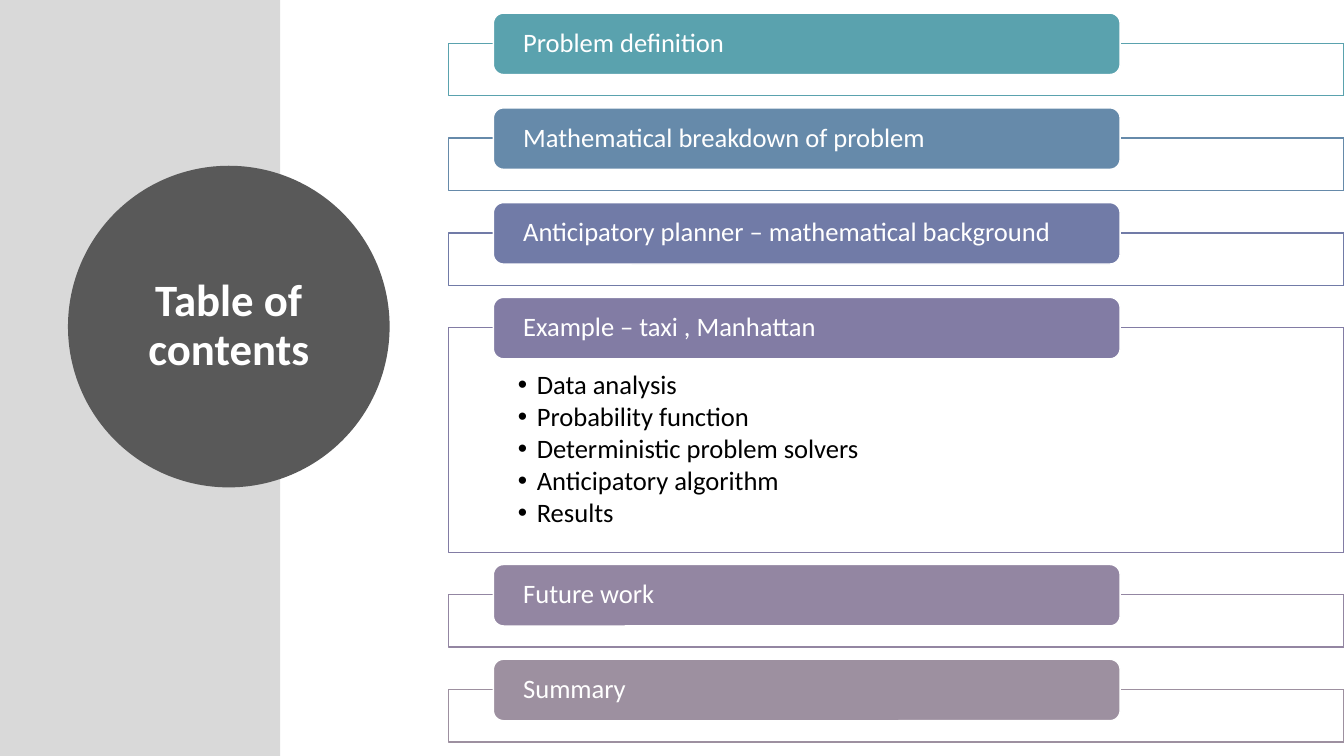
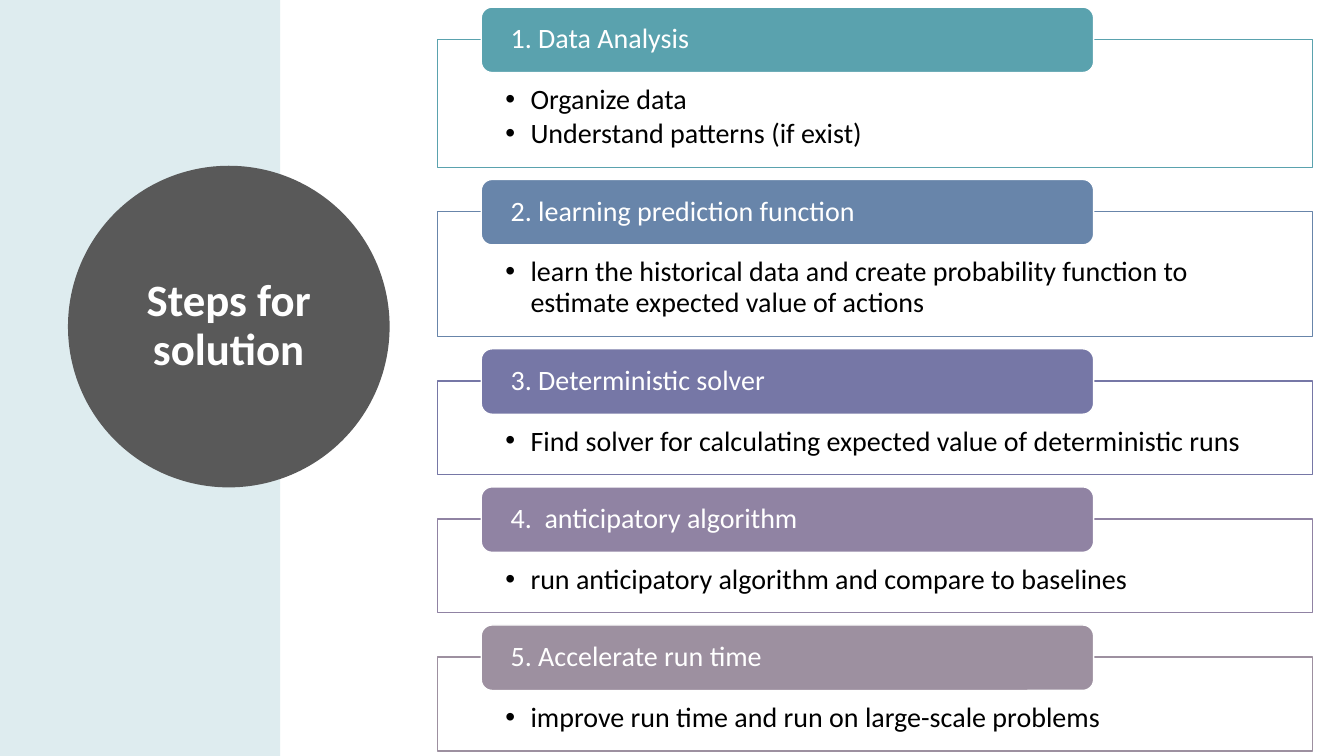
import dataclasses

import lxml.etree
import pptx
import pptx.dml.color
import pptx.enum.shapes
import pptx.enum.text
import pptx.oxml.ns
import pptx.util

SHAPE = pptx.enum.shapes.MSO_SHAPE
ANCHOR = pptx.enum.text.MSO_ANCHOR
ALIGN = pptx.enum.text.PP_ALIGN
qn = pptx.oxml.ns.qn

# The slide is a grid of 160 columns by 90 rows of square cells.
COLS, ROWS = 160, 90
CELL = pptx.util.Inches(7.5) // ROWS


@dataclasses.dataclass(frozen=True)
class Theme:
    font: str = "Calibri"
    title_size: float = 32
    white: str = "FFFFFF"
    black: str = "000000"
    disc: str = "595959"
    hairline: float = 1
    disc_line: float = 13.75
    line_spacing: float = 0.9
    bullet_gap: float = 0.13  # share of the type size


@dataclasses.dataclass(frozen=True)
class Agenda:
    """Layout of a stack of sections, in cells; size is in points."""
    left: float
    top: float
    width: float
    tab_height: float
    lead: float  # from the top of a tab to the top of its frame
    size: float
    indent: float
    gap: float = 1.44


def cells(n):
    return pptx.util.Emu(round(n * CELL))


def rgb(color):
    return pptx.dml.color.RGBColor.from_string(color)


def write(s, lines, *, font, size, color, spacing, bold=False, align=ALIGN.LEFT,
          anchor=ANCHOR.MIDDLE, insets=None, indent=0, after=0):
    """Fill a shape with paragraphs; insets are in EMU, an indent adds bullets."""
    tf = s.text_frame
    tf.word_wrap = True
    tf.vertical_anchor = anchor
    if insets:
        tf.margin_left, tf.margin_top, tf.margin_right, tf.margin_bottom = insets
    for i, line in enumerate(lines):
        p = tf.add_paragraph() if i else tf.paragraphs[0]
        if indent:
            pPr = p._p.get_or_add_pPr()
            pPr.set("marL", str(cells(indent)))
            pPr.set("indent", str(-cells(indent)))
            lxml.etree.SubElement(pPr, qn("a:buFont")).set("typeface", "Arial")
            lxml.etree.SubElement(pPr, qn("a:buChar")).set("char", "•")
        p.alignment = align
        p.line_spacing = spacing
        p.space_after = pptx.util.Pt(after)
        r = p.add_run()
        r.text = line
        r.font.name = font
        r.font.size = pptx.util.Pt(size)
        r.font.bold = bold
        r.font.color.rgb = rgb(color)


class Deck:
    def __init__(self, theme):
        self.theme = theme
        self.prs = pptx.Presentation()
        self.prs.slide_width = cells(COLS)
        self.prs.slide_height = cells(ROWS)
        self.slide = None

    def shape(self, kind, x, y, w, h, fill, line=None, weight=1, opacity=None):
        s = self.slide.shapes.add_shape(kind, *map(cells, (x, y, w, h)))
        s.shadow.inherit = False
        s.fill.solid()
        s.fill.fore_color.rgb = rgb(fill)
        if opacity is not None:
            clr = s.fill._xPr.find(".//" + qn("a:srgbClr"))
            lxml.etree.SubElement(clr, qn("a:alpha")).set("val", str(opacity * 1000))
        if line:
            s.line.color.rgb = rgb(line)
            s.line.width = pptx.util.Pt(weight)
        else:
            s.line.fill.background()
        return s

    def text(self, s, lines, **fmt):
        write(s, lines, font=self.theme.font, spacing=self.theme.line_spacing, **fmt)

    def new_slide(self, title, band):
        """Start a slide with a side band and its title in a disc."""
        t = self.theme
        self.slide = self.prs.slides.add_slide(self.prs.slide_layouts[6])
        self.shape(SHAPE.RECTANGLE, 0, 0, 33.36, ROWS, band)
        s = self.shape(SHAPE.OVAL, 9.24, 20.88, 36, 36, t.disc, t.disc, t.disc_line)
        self.text(s, [title], size=t.title_size, color=t.white, bold=True,
                  align=ALIGN.CENTER)

    def frame(self, agenda, y, height, color, bullets):
        t, a = self.theme, agenda
        s = self.shape(SHAPE.RECTANGLE, a.left, y, a.width, height, t.white, color,
                       t.hairline, opacity=90)
        if bullets:
            side = cells(0.0775 * a.width)
            head, foot = (pptx.util.Pt(a.size * em) for em in (1.64, 0.57))
            self.text(s, bullets, size=a.size, color=t.black, anchor=ANCHOR.TOP,
                      insets=(side, head, side, foot), indent=a.indent,
                      after=t.bullet_gap * a.size)

    def tab(self, agenda, y, color, heading):
        t, a = self.theme, agenda
        s = self.shape(SHAPE.ROUNDED_RECTANGLE, a.left + 0.05 * a.width, y,
                       0.7 * a.width, a.tab_height, color, t.white, t.hairline)
        side = cells(0.03 * a.width)
        self.text(s, [heading], size=a.size, color=t.white, insets=(side, 0, side, 0))

    def sections(self, agenda, items):
        """Stack items of (heading, colour, frame height, bullets)."""
        y = agenda.top
        for heading, color, height, bullets in items:
            self.frame(agenda, y + agenda.lead, height, color, bullets)
            self.tab(agenda, y, color, heading)
            y += agenda.lead + height + agenda.gap


def main():
    deck = Deck(Theme())

    deck.new_slide("Table of contents", "D9D9D9")
    contents = Agenda(left=53.4, top=1.56, width=106.6, tab_height=7.32, lead=3.6,
                      size=19, indent=2.25)
    deck.sections(contents, [
        ("Problem definition", "5AA2AE", 6.24, []),
        ("Mathematical breakdown of problem", "668AAA", 6.24, []),
        ("Anticipatory planner – mathematical background", "717BA7", 6.24, []),
        ("Example – taxi , Manhattan", "827CA4", 26.76,
         ["Data analysis", "Probability function", "Deterministic problem solvers",
          "Anticipatory algorithm", "Results"]),
        ("Future work", "9386A2", 6.24, []),
        ("Summary", "9D90A0", 6.24, []),
    ])

    deck.new_slide("Steps for solution", "DEECEF")
    steps = Agenda(left=52.08, top=0.84, width=104.16, tab_height=7.8, lead=3.84,
                   size=20, indent=3)
    deck.sections(steps, [
        ("1. Data Analysis", "5AA2AE", 15.24,
         ["Organize data", "Understand patterns (if exist)"]),
        ("2. learning prediction function", "6885AA", 14.88,
         ["learn the historical data and create probability function to "
          "estimate expected value of actions"]),
        ("3. Deterministic solver", "7677A6", 11.16,
         ["Find solver for calculating expected value of deterministic runs"]),
        ("4.  anticipatory algorithm", "9083A3", 11.16,
         ["run anticipatory algorithm and compare to baselines"]),
        ("5. Accelerate run time", "9D90A0", 11.16,
         ["improve run time and run on large-scale problems"]),
    ])

    deck.prs.save("out.pptx")


if __name__ == "__main__":
    main()
